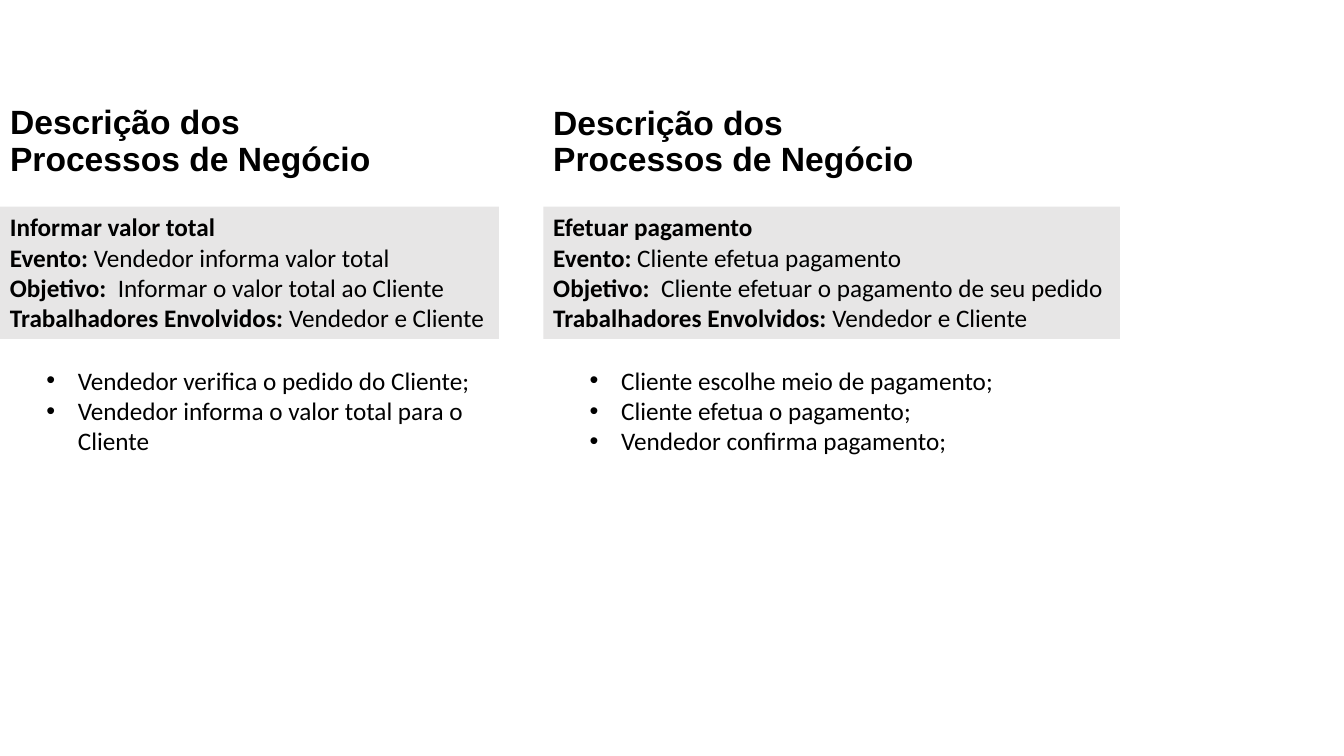
import pptx
import pptx.util
import pptx.dml.color
import pptx.enum.shapes
import pptx.enum.text
import lxml.etree

Pt = pptx.util.Pt
COLORS = {"text": "000000", "panel": "E7E6E6"}
TITLE = "Descrição dos\nProcessos de Negócio"
PROCESSES = [
    {"left": 0, "width": 356.4,
     "summary": [("Informar valor total", ""),
                 ("Evento: ", "Vendedor informa valor total"),
                 ("Objetivo:  ", "Informar o valor total ao Cliente"),
                 ("Trabalhadores Envolvidos: ", "Vendedor e Cliente")],
     "steps": ["Vendedor verifica o pedido do Cliente;",
               "Vendedor informa o valor total para o Cliente"]},
    {"left": 388.1, "width": 411.8,
     "summary": [("Efetuar pagamento", ""),
                 ("Evento: ", "Cliente efetua pagamento"),
                 ("Objetivo:  ", "Cliente efetuar o pagamento de seu pedido"),
                 ("Trabalhadores Envolvidos: ", "Vendedor e Cliente")],
     "steps": ["Cliente escolhe meio de pagamento;",
               "Cliente efetua o pagamento;",
               "Vendedor confirma pagamento;"]},
]


def rgb(name):
    """Return the named colour."""
    return pptx.dml.color.RGBColor.from_string(COLORS[name])


def add_text(p, text, size=18, font="Calibri", bold=False, color="text"):
    """Add formatted text to a paragraph, with line breaks at newlines."""
    for i, line in enumerate(text.split("\n")):
        if i:
            p.add_line_break()
        r = p.add_run()
        r.text = line
        r.font.size = Pt(size)
        r.font.name = font
        r.font.bold = bold
        r.font.color.rgb = rgb(color)


def place(sp, left, top, width, height):
    """Set the box of a shape."""
    sp.left, sp.top, sp.width, sp.height = map(Pt, (left, top, width, height))


def paragraphs(tf, count, spacing=1.0):
    """Yield left-aligned paragraphs of a text frame."""
    for i in range(count):
        p = tf.add_paragraph() if i else tf.paragraphs[0]
        p.alignment = pptx.enum.text.PP_ALIGN.LEFT
        p.line_spacing = spacing
        p.space_before = p.space_after = Pt(0)
        yield p


def set_frame(tf, anchor, wrap=True):
    """Set anchoring and wrapping, without automatic sizing."""
    tf.auto_size = pptx.enum.text.MSO_AUTO_SIZE.NONE
    tf.vertical_anchor = anchor
    tf.word_wrap = wrap


def fill_title(sp, left, top, width, height):
    """Place and write a column heading."""
    place(sp, left, top, width, height)
    set_frame(sp.text_frame, pptx.enum.text.MSO_ANCHOR.BOTTOM)
    for p in paragraphs(sp.text_frame, 1, 0.9):
        add_text(p, TITLE, size=24, font="Arial", bold=True)


def add_summary(s, rows, left, top, width, height):
    """Add the grey panel of labels and values."""
    sp = s.shapes.add_shape(pptx.enum.shapes.MSO_SHAPE.RECTANGLE,
                            *map(Pt, (left, top, width, height)))
    sp.shadow.inherit = False
    sp.fill.solid()
    sp.fill.fore_color.rgb = rgb("panel")
    sp.line.fill.background()
    set_frame(sp.text_frame, pptx.enum.text.MSO_ANCHOR.TOP, wrap=False)
    for p, (label, value) in zip(paragraphs(sp.text_frame, len(rows)), rows):
        add_text(p, label, bold=True)
        if value:
            add_text(p, value)


def fill_steps(sp, steps, left, top, width, height):
    """Place and write the bulleted steps."""
    place(sp, left, top, width, height)
    set_frame(sp.text_frame, pptx.enum.text.MSO_ANCHOR.TOP)
    for p, step in zip(paragraphs(sp.text_frame, len(steps)), steps):
        add_text(p, step)
        pPr = p._p.get_or_add_pPr()
        pPr.set("marL", str(Pt(22.5)))
        pPr.set("indent", str(-Pt(22.5)))
        ns = pptx.oxml.ns.qn
        lxml.etree.SubElement(pPr, ns("a:buFont")).set("typeface", "Arial")
        lxml.etree.SubElement(pPr, ns("a:buChar")).set("char", "•")


def add_process(s, title, body, process, top):
    """Lay out one process column from its left edge and top."""
    left = process["left"]
    fill_title(title, left, top, 371.5, 71.3)
    add_summary(s, process["summary"], left, top + 87.8, process["width"], 94.5)
    fill_steps(body, process["steps"], left + 25.9, top + 197.3, 319.7, 94.5)


def main():
    """Build and save the slide."""
    prs = pptx.Presentation()
    prs.slide_width, prs.slide_height = Pt(960), Pt(540)
    s = prs.slides.add_slide(prs.slide_layouts.get_by_name("Two Content"))
    titles = [s.shapes.title, s.shapes.add_textbox(0, 0, 0, 0)]
    bodies = [s.placeholders[1], s.placeholders[2]]
    for title, body, process in zip(titles, bodies, PROCESSES):
        add_process(s, title, body, process, 59.8)
    prs.save("out.pptx")


main()
